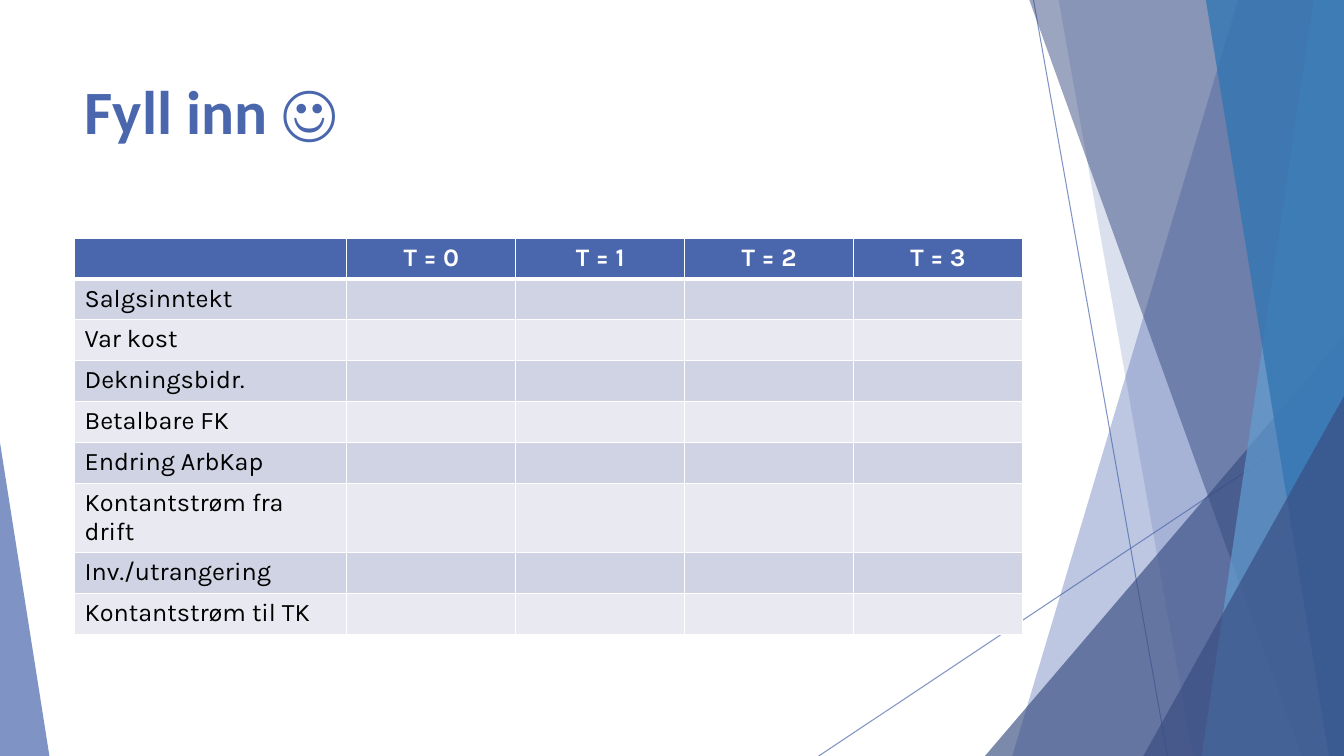
from lxml.etree import SubElement
from pptx import Presentation
from pptx.dml.color import RGBColor
from pptx.enum.shapes import MSO_CONNECTOR, MSO_SHAPE
from pptx.enum.text import MSO_ANCHOR, MSO_AUTO_SIZE, PP_ALIGN
from pptx.oxml import parse_xml
from pptx.oxml.ns import nsdecls, qn
from pptx.util import Inches, Pt

WIDE, HIGH = Inches(13.33), Inches(7.5)
HUES = {
    "blue": "4A66AC", "navy": "384C81", "sky": "629DD1", "deep": "3477B2",
    "white": "FFFFFF", "black": "000000", "odd": "D0D3E3", "even": "E9EAF1",
}
HEAD = {"size": Pt(18), "name": "Karla", "bold": True}
BODY = {**HEAD, "bold": False}
TITLE = {"size": Pt(44), "name": "Calibri", "bold": True}

# Slanted bands down the right side: top x, foot x, colour, opacity
BANDS = {
    "light": (92.12, 75.32, "blue", 36),
    "pale": (78.77, 88.75, "blue", 20),
    "dark": (76.59, 96.85, "navy", 50),
    "sky": (97.75, 89.42, "sky", 70),
    "deep": (89.72, 98.87, "deep", 80),
}
TIMES = [f"T = {year}" for year in range(4)]
ITEMS = [
    "Salgsinntekt", "Var kost", "Dekningsbidr.", "Betalbare FK",
    "Endring ArbKap", "Kontantstrøm fra drift", "Inv./utrangering",
    "Kontantstrøm til TK",
]


def across(share):
    """Percent of the slide's width."""
    return round(WIDE * share / 100)


def down(share):
    """Percent of the slide's height."""
    return round(HIGH * share / 100)


def box(left, top, width, height):
    return across(left), down(top), across(width), down(height)


def put(item, values):
    for key, value in values.items():
        setattr(item, key, value)


def tint(color, hue):
    color.rgb = RGBColor.from_string(HUES[hue])


def fade(shape, alpha):
    color = next(shape._element.spPr.iter(qn("a:srgbClr")))
    SubElement(color, qn("a:alpha"), val=str(alpha * 1000))


def paint(shape, hue, alpha):
    shape.shadow.inherit = False
    shape.fill.solid()
    tint(shape.fill.fore_color, hue)
    fade(shape, alpha)
    shape.line.fill.background()


def add_line(slide, x1, y1, x2, y2):
    line = slide.shapes.add_connector(
        MSO_CONNECTOR.STRAIGHT, across(x1), down(y1), across(x2), down(y2))
    line.line.width = Pt(0.75)
    tint(line.line.color, "blue")
    fade(line, 70)
    SubElement(line._element.spPr, qn("a:effectLst"))


def add_band(slide, top, foot, hue, alpha):
    path = slide.shapes.build_freeform(across(top), 0)
    path.add_line_segments([
        (WIDE, 0), (WIDE, HIGH), (across(foot), HIGH)], close=True)
    paint(path.convert_to_shape(), hue, alpha)


def add_wedge(slide, left, top, width, tip, hue, alpha):
    wedge = slide.shapes.add_shape(
        MSO_SHAPE.ISOSCELES_TRIANGLE, *box(left, top, width, 100 - top))
    wedge.adjustments[0] = tip
    paint(wedge, hue, alpha)


def add_text(frame, text, font, hue, align):
    para = frame.paragraphs[0]
    para.alignment = align
    run = para.add_run()
    run.text = text
    put(run.font, font)
    tint(run.font.color, hue)


def add_title(slide, text):
    title = slide.shapes.title
    spot = box(5.55, 8.93, 70.52, 19.2)
    put(title, dict(zip(("left", "top", "width", "height"), spot)))
    put(title.text_frame, {
        "vertical_anchor": MSO_ANCHOR.TOP, "word_wrap": True,
        "auto_size": MSO_AUTO_SIZE.NONE})
    add_text(title.text_frame, text, TITLE, "blue", PP_ALIGN.LEFT)


def edge(cell, sides):
    """Draw white borders, given in points by side."""
    props = cell._tc.get_or_add_tcPr()
    for spot, (side, width) in enumerate(sides.items()):
        props.insert(spot, parse_xml(
            f'<a:ln{side} {nsdecls("a")} w="{Pt(width)}"><a:solidFill>'
            f'<a:srgbClr val="{HUES["white"]}"/></a:solidFill></a:ln{side}>'))


def add_grid(slide, rows):
    wide, slim, tall = 20.26, 12.57, 5.41
    count = len(rows[0])
    grid = slide.shapes.add_table(len(rows), count, *box(
        5.55, 31.47, wide + slim * (count - 1), tall * len(rows))).table
    for spot, col in enumerate(grid.columns):
        col.width = across(slim if spot else wide)
    for r, texts in enumerate(rows):
        grid.rows[r].height = down(tall)
        hue = ("odd" if r % 2 else "even") if r else "blue"
        sides = {"L": 1, "R": 1, "T": 3 if r == 1 else 1, "B": 1 if r else 3}
        for c, text in enumerate(texts):
            cell = grid.cell(r, c)
            cell.fill.solid()
            tint(cell.fill.fore_color, hue)
            edge(cell, sides)
            if not text:
                cell.text_frame.paragraphs[0].font.size = Pt(18)
            elif r:
                add_text(cell.text_frame, text, BODY, "black", PP_ALIGN.LEFT)
            else:
                add_text(cell.text_frame, text, HEAD, "white", PP_ALIGN.CENTER)


def main():
    deck = Presentation()
    put(deck, {"slide_width": WIDE, "slide_height": HIGH})
    slide = deck.slides.add_slide(deck.slide_layouts[5])

    # Backdrop, from back to front
    add_line(slide, 76.9, 0, 86.87, 100)
    add_line(slide, 100, 53.73, 60.92, 100)
    for name, band in BANDS.items():
        if name == "dark":
            add_wedge(slide, 73.29, 44.4, 26.71, 1, "navy", 66)
        add_band(slide, *band)
    add_wedge(slide, 85.07, 52.4, 14.93, 1, "navy", 66)
    add_wedge(slide, 0, 58.53, 3.68, 0, "blue", 70)

    # Title and the table to fill in
    add_title(slide, "Fyll inn ☺")
    blank = [""] * len(TIMES)
    add_grid(slide, [["", *TIMES]] + [[item, *blank] for item in ITEMS])
    deck.save("out.pptx")


if __name__ == "__main__":
    main()
